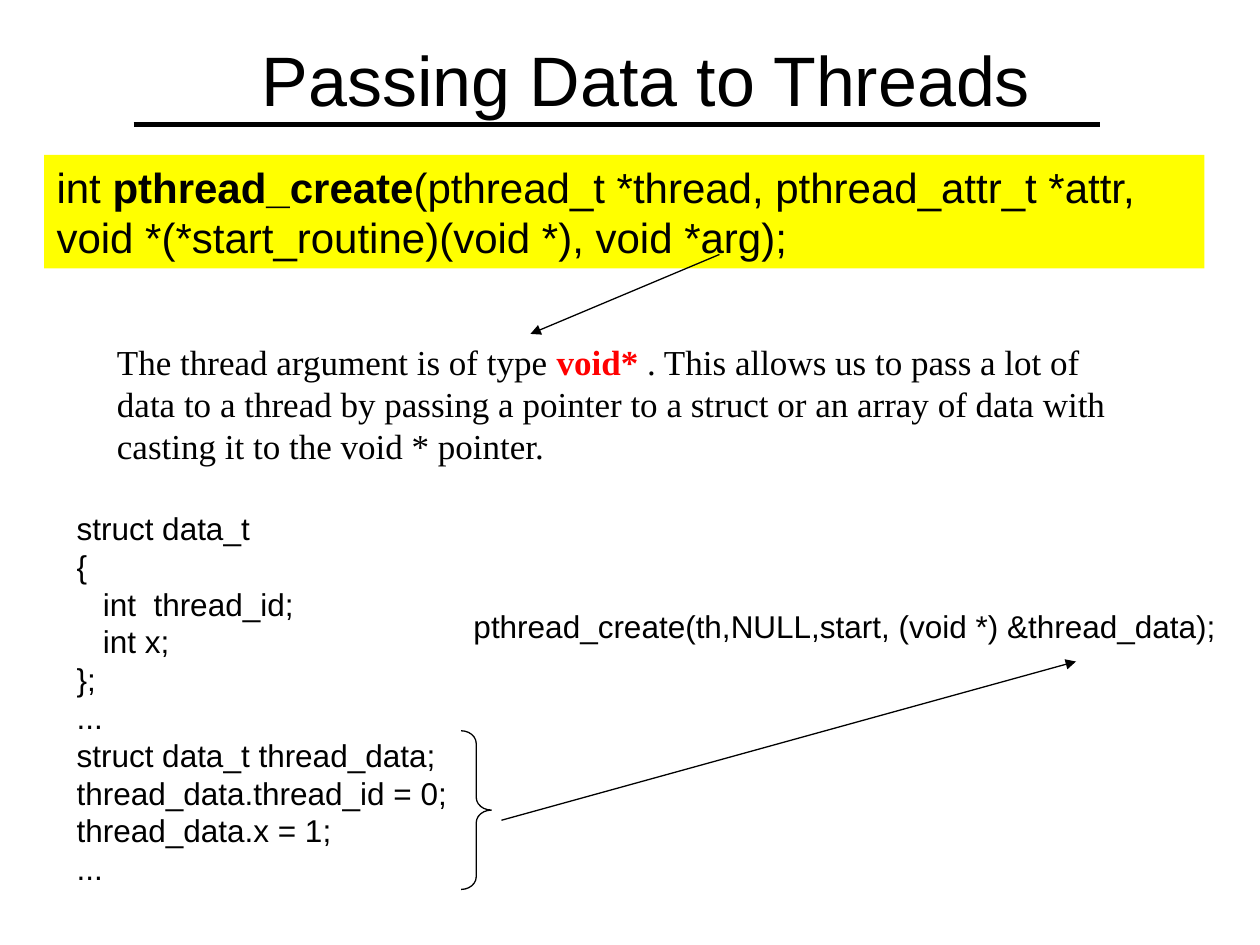
from lxml.etree import SubElement
from pptx import Presentation
from pptx.dml.color import RGBColor
from pptx.enum.shapes import MSO_CONNECTOR as Connector, MSO_SHAPE as Shape
from pptx.enum.text import MSO_ANCHOR as Anchor, PP_ALIGN as Align
from pptx.oxml.ns import qn
from pptx.util import Inches, Pt

WIDTH, HEIGHT = 10, 7.5
COLORS = {"ink": "000000", "accent": "FF0000", "highlight": "FFFF00"}
SANS, SERIF = "Arial", "Times New Roman"

# Content: each paragraph is a list of (text, format) runs
TITLE = [[("Passing Data to Threads", {})]]
SIGNATURE = [[
    ("int ", {}),
    ("pthread_create", {"bold": True}),
    ("(pthread_t *thread, pthread_attr_t *attr, "
     "void *(*start_routine)(void *), void *arg);", {}),
]]
EXPLANATION = [[
    ("The thread argument is of type ", {}),
    ("void*", {"bold": True, "color": "accent"}),
    (" . This allows us to pass a lot of data to a thread by passing a pointer "
     "to a struct or an array of data with casting it to the void * pointer.", {}),
]]
STRUCT_CODE = """struct data_t
{
   int  thread_id;
   int x;
};
...
struct data_t thread_data;
thread_data.thread_id = 0;
thread_data.x = 1;
..."""
STRUCT = [[(line, {})] for line in STRUCT_CODE.splitlines()]
CALL = [[("pthread_create(th,NULL,start, (void *) &thread_data);", {})]]

# Text parts: content, (left, top, width, height), font, size, frame format
TEXTS = [
    (TITLE, (1, 0.25, 8.25, 0.74), SANS, 40, {"vertical_anchor": Anchor.MIDDLE}),
    (EXPLANATION, (0.83, 2.65, 8.35, 1.1), SERIF, 20, {}),
    (STRUCT, (0.51, 3.99, 3.14, 3.1), SANS, 18, {"word_wrap": False}),
    (SIGNATURE, (0.35, 1.23, 9.21, 0.9), SANS, 24, {}),
    (CALL, (3.66, 4.77, 6.14, 0.4), SANS, 18, {}),
]

# Lines: start, end, weight, arrowhead at the end
LINES = [
    ((1.06, 0.99), (8.73, 0.99), 3, False),
    ((5.71, 2.02), (4.21, 2.65), 0.75, True),
    ((3.98, 6.51), (8.54, 5.25), 0.75, True),
]
BRACE = (3.66, 5.8, 0.24, 1.26)


def rgb(name):
    return RGBColor.from_string(COLORS[name])


def inches(values):
    return [Inches(value) for value in values]


def add_text(slide, paragraphs, place, font, size, frame_format):
    box = slide.shapes.add_textbox(*inches(place))
    frame = box.text_frame
    for key, value in {"word_wrap": True, **frame_format}.items():
        setattr(frame, key, value)
    for index, runs in enumerate(paragraphs):
        paragraph = frame.add_paragraph() if index else frame.paragraphs[0]
        paragraph.alignment = Align.CENTER if paragraphs is TITLE else Align.LEFT
        for text, changes in runs:
            run = paragraph.add_run()
            run.text = text
            style = {"name": font, "size": Pt(size), "bold": False, **changes}
            run.font.color.rgb = rgb(style.pop("color", "ink"))
            for key, value in style.items():
                setattr(run.font, key, value)
    if paragraphs is SIGNATURE:
        box.fill.solid()
        box.fill.fore_color.rgb = rgb("highlight")


def add_line(slide, start, end, weight, arrow):
    line = slide.shapes.add_connector(Connector.STRAIGHT, *inches(start + end))
    line.line.color.rgb = rgb("ink")
    line.line.width = Pt(weight)
    properties = line.line._get_or_add_ln()
    if arrow:
        SubElement(properties, qn("a:tailEnd"), type="triangle")
    SubElement(properties.getparent(), qn("a:effectLst"))


def add_brace(slide):
    brace = slide.shapes.add_shape(Shape.RIGHT_BRACE, *inches(BRACE))
    brace.shadow.inherit = False
    brace.fill.background()
    brace.line.color.rgb = rgb("ink")
    brace.line.width = Pt(0.75)
    brace.adjustments[0] = 0.42


def main():
    deck = Presentation()
    deck.slide_width, deck.slide_height = inches((WIDTH, HEIGHT))
    slide = deck.slides.add_slide(deck.slide_layouts[6])
    for text in TEXTS:
        add_text(slide, *text)
    # Title rule and arrows from the code to what it means
    for line in LINES:
        add_line(slide, *line)
    add_brace(slide)
    deck.save("out.pptx")


if __name__ == "__main__":
    main()
